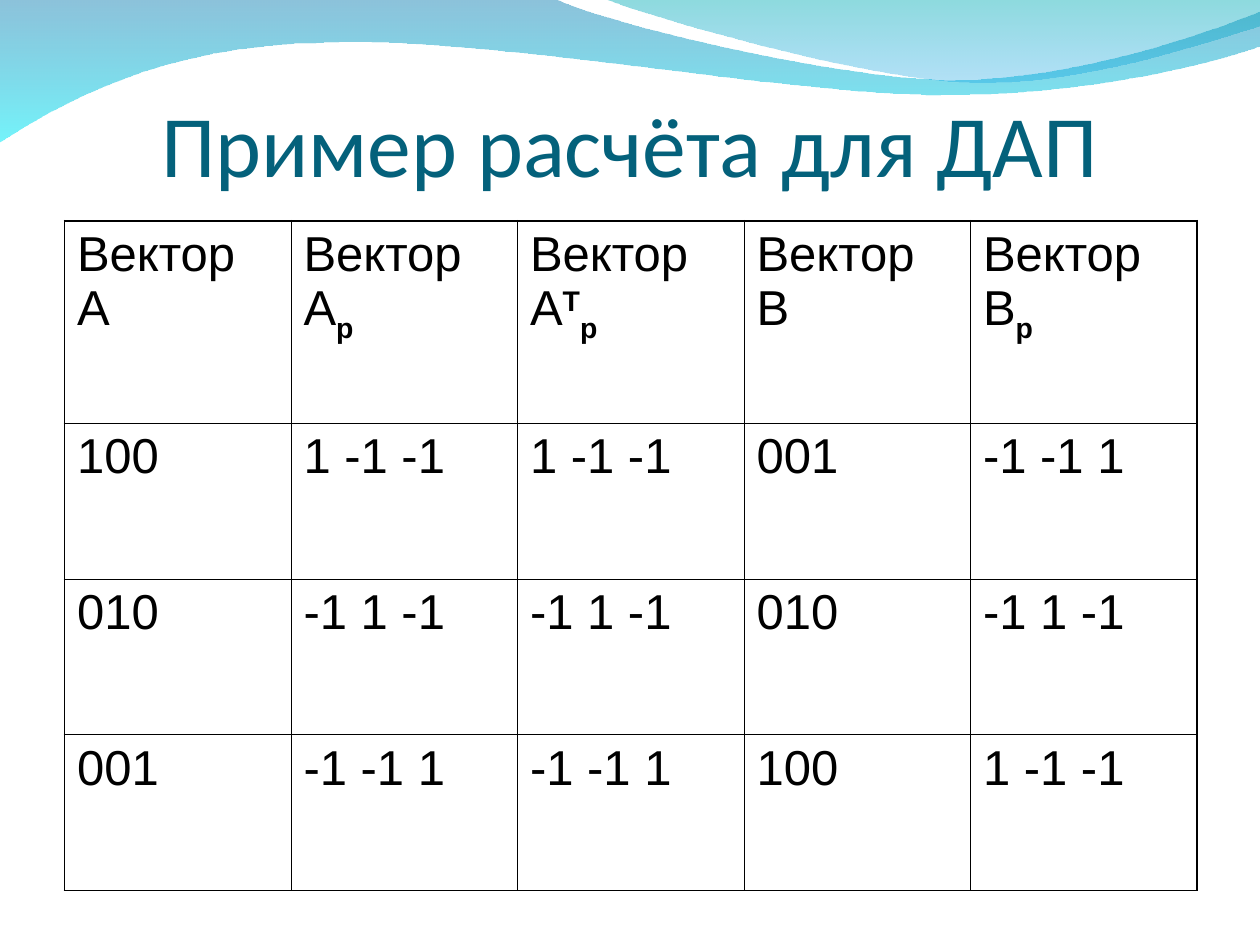
from lxml import etree
from pptx import Presentation
from pptx import util as u
from pptx.dml import color
from pptx.enum import text
from pptx.oxml import ns

HEADERS = [
    [("Вектор А", 0)],
    [("Вектор А", 0), ("p", -25)],
    [("Вектор А", 0), ("T", 30), ("p", -25)],
    [("Вектор B", 0)],
    [("Вектор B", 0), ("p", -25)],
]
VECTORS = [
    ["100", "1 -1 -1", "1 -1 -1", "001", "-1 -1 1"],
    ["010", "-1 1 -1", "-1 1 -1", "010", "-1 1 -1"],
    ["001", "-1 -1 1", "-1 -1 1", "100", "1 -1 -1"],
]
LOWER_WAVE = [
    [(0.03, 0)],
    [(11.21, 0)],
    [(12.12, 0.46), (16.9, 1.63), (19.28, 1.63)],
    [(21.7, 1.63), (24.36, 0.69), (25.43, 0.26)],
    [(25.46, 0.94)],
    [(25, 1.15), (22.13, 1.96), (18.98, 1.94)],
    [(15.83, 1.94), (9.73, 0.74), (6.56, 0.89)],
    [(3.28, 0.92), (1.2, 2.14), (0, 2.9)],
]
UPPER_WAVE = [
    [(0, 0)],
    [(0.76, 0.31), (5.15, 1.6), (7.36, 1.68)],
    [(9.57, 1.78), (12.24, 0.84), (13.23, 0.56)],
    [(13.23, 0.03)],
]


def rgb(value):
    """Return the colour for a hex string."""
    return color.RGBColor.from_string(value)


def format_font(font, **values):
    """Set the given font attributes and the colour."""
    font.color.rgb = rgb(values.pop("hex_color"))
    for name, value in values.items():
        setattr(font, name, value)


def add_child(parent, tag, **attributes):
    """Append a DrawingML element to a parent."""
    return etree.SubElement(parent, ns.qn(tag), attributes)


def bend_segments(wave, segments):
    """Turn each group of three outline lines into one cubic curve."""
    lines = iter(list(wave._element.spPr.iter(ns.qn("a:lnTo"))))
    for segment in segments[1:]:
        group = [next(lines) for point in segment]
        if len(group) == 3:
            curve = etree.Element(ns.qn("a:cubicBezTo"))
            group[0].addprevious(curve)
            for line in group:
                curve.append(line[0])
                line.getparent().remove(line)


def add_wave(slide, left, top, segments, stops):
    """Draw a gradient wave with its outline relative to left and top."""
    vertices = [(u.Cm(x), u.Cm(y)) for segment in segments for x, y in segment]
    builder = slide.shapes.build_freeform(*vertices[0])
    builder.add_line_segments(vertices[1:], close=True)
    wave = builder.convert_to_shape(u.Cm(left), u.Cm(top))
    bend_segments(wave, segments)
    wave.shadow.inherit = False
    wave.line.fill.background()
    wave.fill.gradient()
    wave.fill.gradient_angle = 270
    for stop, (hex_color, opacity) in zip(wave.fill.gradient_stops, stops):
        stop.color.rgb = rgb(hex_color)
    shades = wave._element.spPr.iter(ns.qn("a:srgbClr"))
    for shade, (hex_color, opacity) in zip(shades, stops):
        add_child(shade, "a:alpha", val=str(opacity * 1000))


def place_title(slide, left, top, width, height):
    """Place and format the title in front of the waves."""
    title = slide.shapes.title
    box = dict(left=left, top=top, width=width, height=height)
    for name, value in box.items():
        setattr(title, name, u.Cm(value))
    frame = title.text_frame
    frame.text = "Пример расчёта для ДАП"
    layout = dict(margin_left=0, margin_right=0, margin_top=u.Cm(0.13), margin_bottom=0,
                  vertical_anchor=text.MSO_ANCHOR.BOTTOM, word_wrap=True,
                  auto_size=text.MSO_AUTO_SIZE.NONE)
    for name, value in layout.items():
        setattr(frame, name, value)
    paragraph = frame.paragraphs[0]
    paragraph.alignment = text.PP_ALIGN.CENTER
    format_font(paragraph.runs[0].font, name="Calibri", size=u.Pt(50), hex_color="04617B")
    slide.shapes._spTree.append(title._element)


def fill_cell(cell, parts):
    """Write runs of text and baseline shift into a cell."""
    cell.fill.background()
    paragraph = cell.text_frame.paragraphs[0]
    for wording, baseline in parts:
        run = paragraph.add_run()
        run.text = wording
        format_font(run.font, name="Arial", size=u.Pt(28), bold=baseline != 0,
                    hex_color="000000")
        if baseline:
            run._r.get_or_add_rPr().set("baseline", str(baseline * 1000))


def set_borders(cell, outer_sides):
    """Draw the cell borders, heavier on the outer sides."""
    properties = cell._tc.get_or_add_tcPr()
    for index, side in enumerate("LRTB"):
        weight = u.Pt(1.08 if side in outer_sides else 0.45)
        border = add_child(properties, f"a:ln{side}", w=str(weight))
        add_child(add_child(border, "a:solidFill"), "a:srgbClr", val="000000")
        properties.insert(index, border)


def add_vector_table(slide, left, top, width, header_height, row_height):
    """Add the table of vectors in the given box."""
    rows = [HEADERS] + [[[(value, 0)] for value in row] for row in VECTORS]
    last_row, last_column = len(rows) - 1, len(HEADERS) - 1
    height = header_height + row_height * last_row
    table = slide.shapes.add_table(len(rows), len(HEADERS), u.Cm(left), u.Cm(top),
                                   u.Cm(width), u.Cm(height)).table
    table.first_row = table.horz_banding = False
    for column in table.columns:
        column.width = u.Cm(width / len(HEADERS))
    for r, row in enumerate(rows):
        table.rows[r].height = u.Cm(row_height if r else header_height)
        for c, parts in enumerate(row):
            edges = {"L": c == 0, "R": c == last_column, "T": r == 0, "B": r == last_row}
            cell = table.cell(r, c)
            fill_cell(cell, parts)
            set_borders(cell, [side for side, is_outer in edges.items() if is_outer])


def main():
    """Build and save the presentation."""
    deck = Presentation()
    deck.slide_width, deck.slide_height = u.Cm(25.4), u.Cm(19.05)
    slide = deck.slides.add_slide(deck.slide_layouts[5])
    slide.background.fill.solid()
    slide.background.fill.fore_color.rgb = rgb("FFFFFF")
    add_wave(slide, -0.03, -0.03, LOWER_WAVE, [("0079AF", 45), ("00EBF8", 55)])
    add_wave(slide, 12.17, -0.03, UPPER_WAVE, [("00ADB6", 45), ("009BE5", 30)])
    place_title(slide, 1.27, 0.76, 22.86, 3.18)
    add_vector_table(slide, 1.3, 4.45, 22.83, 4.08, 3.14)
    deck.save("out.pptx")


if __name__ == "__main__":
    main()
